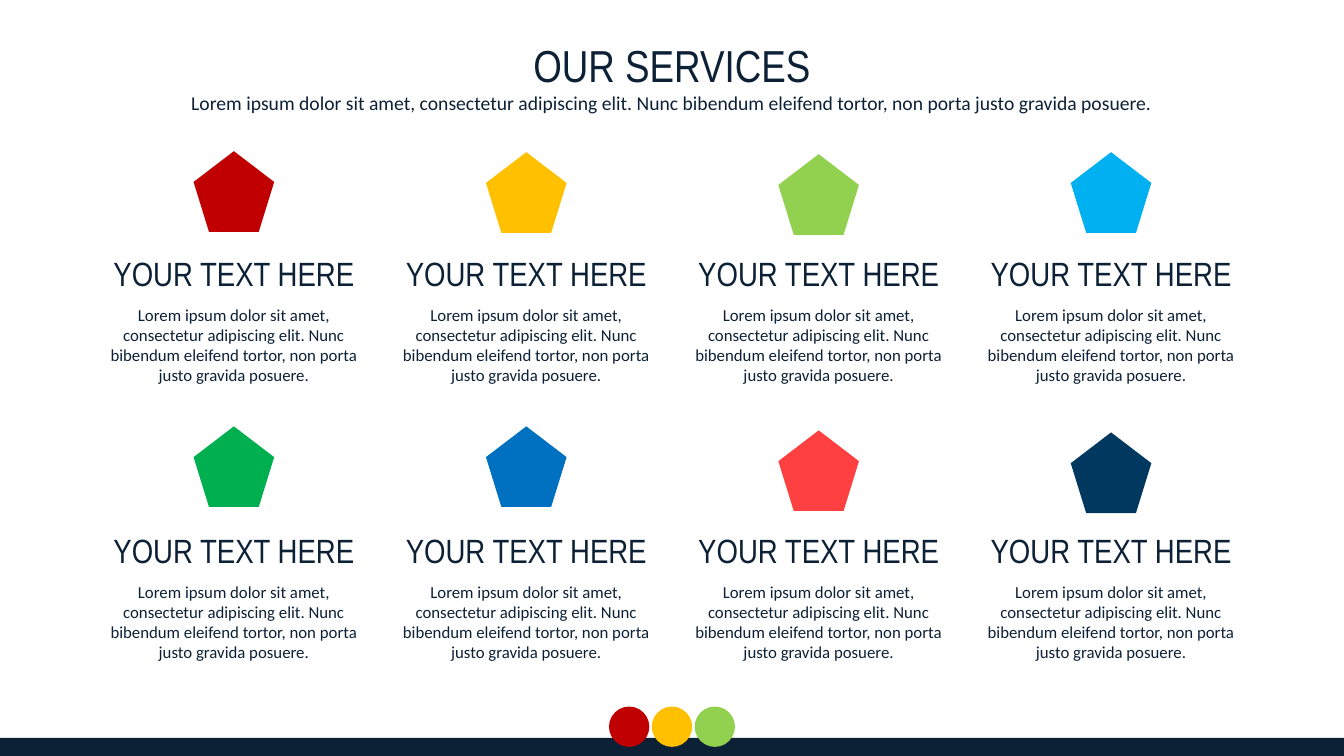
from dataclasses import dataclass

from pptx import Presentation
from pptx.dml.color import RGBColor
from pptx.enum.shapes import MSO_SHAPE
from pptx.enum.text import MSO_AUTO_SIZE, PP_ALIGN
from pptx.util import Inches, Pt

RECTANGLE = MSO_SHAPE.RECTANGLE
OVAL = MSO_SHAPE.OVAL
PENTAGON = MSO_SHAPE.REGULAR_PENTAGON
CENTER = PP_ALIGN.CENTER
GROW = MSO_AUTO_SIZE.SHAPE_TO_FIT_TEXT


@dataclass(frozen=True)
class Theme:
    navy: str = "0C2036"
    red: str = "C00000"
    amber: str = "FFC000"
    lime: str = "92D050"
    sky: str = "00B0F0"
    green: str = "00B050"
    blue: str = "0070C0"
    coral: str = "FF4040"
    deep_blue: str = "003860"
    heading_font: str = "Arial Narrow"
    body_font: str = "Calibri"
    title_size: int = 32
    subtitle_size: int = 14
    service_size: int = 24
    body_size: int = 12


THEME = Theme()
SLIDE_WIDTH, SLIDE_HEIGHT = 13.33, 7.5
COLUMN_LEFT, COLUMN_WIDTH = 0.87, 2.9
ROW_TOP, ROW_PITCH = 2.46, 2.75
ICON_SIZE = 0.8
DOT_SIZE, DOT_PITCH = 0.4, 0.425

LOREM = ("Lorem ipsum dolor sit amet, consectetur adipiscing elit. "
         "Nunc bibendum eleifend tortor, non porta justo gravida posuere.")
SERVICE_HEADING = "YOUR TEXT HERE"
# Icon colour and icon top for each service, row by row
SERVICES = [
    [(THEME.red, 1.5), (THEME.amber, 1.51), (THEME.lime, 1.53), (THEME.sky, 1.51)],
    [(THEME.green, 4.23), (THEME.blue, 4.23), (THEME.coral, 4.27), (THEME.deep_blue, 4.29)],
]


def add_solid(slide, preset, left, top, width, height, color):
    solid = slide.shapes.add_shape(
        preset, Inches(left), Inches(top), Inches(width), Inches(height))
    solid.shadow.inherit = False
    solid.fill.solid()
    solid.fill.fore_color.rgb = RGBColor.from_string(color)
    solid.line.fill.background()


def add_centered_text(slide, text, left, top, width, height, font, size, spacing=None):
    frame = slide.shapes.add_textbox(
        Inches(left), Inches(top), Inches(width), Inches(height)).text_frame
    frame.word_wrap = True
    frame.auto_size = GROW
    paragraph = frame.paragraphs[0]
    paragraph.alignment = CENTER
    paragraph.line_spacing = spacing
    run = paragraph.add_run()
    run.text = text
    run.font.name = font
    run.font.size = Pt(size)
    run.font.color.rgb = RGBColor.from_string(THEME.navy)


def add_footer(slide):
    add_solid(slide, RECTANGLE, 0, 7.32, SLIDE_WIDTH, 0.18, THEME.navy)
    for index, color in enumerate([THEME.red, THEME.amber, THEME.lime]):
        add_solid(slide, OVAL, 6.04 + index * DOT_PITCH, 7.01, DOT_SIZE, DOT_SIZE, color)


def add_header(slide):
    add_centered_text(slide, LOREM, 0, 0.74, SLIDE_WIDTH, 0.45,
                      THEME.body_font, THEME.subtitle_size, spacing=1.5)
    add_centered_text(slide, "OUR SERVICES", 0, 0.33, SLIDE_WIDTH, 0.64,
                      THEME.heading_font, THEME.title_size)


def add_service(slide, left, top, color, icon_top):
    """Add a pentagon with a heading and a description below it."""
    icon_left = left + (COLUMN_WIDTH - ICON_SIZE) / 2
    add_solid(slide, PENTAGON, icon_left, icon_top, ICON_SIZE, ICON_SIZE, color)
    add_centered_text(slide, LOREM, left, top + 0.51, COLUMN_WIDTH, 0.91,
                      THEME.body_font, THEME.body_size)
    add_centered_text(slide, SERVICE_HEADING, left, top, COLUMN_WIDTH, 0.5,
                      THEME.heading_font, THEME.service_size)


def main():
    deck = Presentation()
    deck.slide_width = Inches(SLIDE_WIDTH)
    deck.slide_height = Inches(SLIDE_HEIGHT)
    slide = deck.slides.add_slide(deck.slide_layouts[6])
    add_footer(slide)
    add_header(slide)
    for row, services in enumerate(SERVICES):
        for column, (color, icon_top) in enumerate(services):
            add_service(slide, COLUMN_LEFT + column * COLUMN_WIDTH,
                        ROW_TOP + row * ROW_PITCH, color, icon_top)
    deck.save("out.pptx")


if __name__ == "__main__":
    main()
